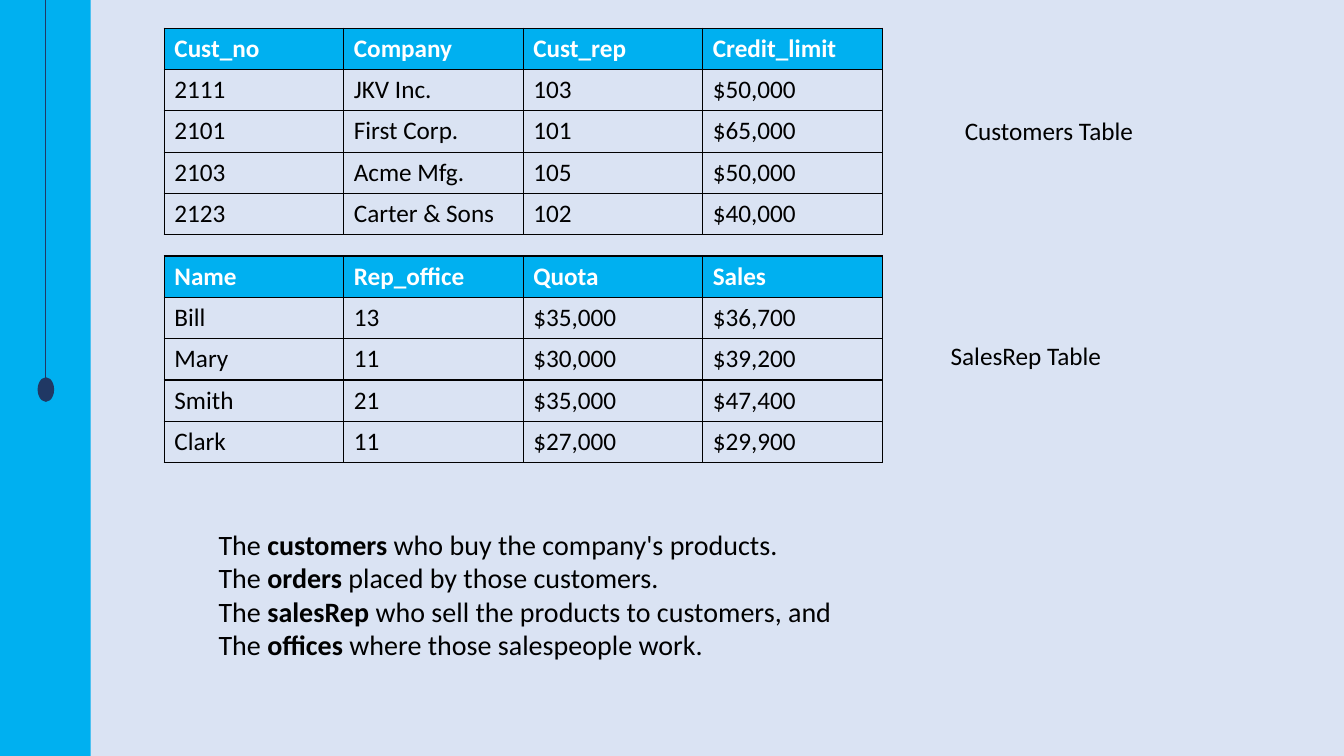
import pptx
import pptx.util
import pptx.dml.color
import pptx.enum.shapes
import pptx.enum.text
import pptx.oxml
import pptx.oxml.ns

PX = 9144
FONT = "Calibri"
COLORS = {
    "background": "DAE3F3",
    "accent": "00B0F0",
    "navy": "203864",
    "text": "000000",
    "header": "FFFFFF",
}


def rgb(name):
    return pptx.dml.color.RGBColor.from_string(COLORS[name])


def style_run(r, size, color="text", bold=False):
    r.font.name = FONT
    r.font.size = pptx.util.Pt(size)
    r.font.bold = bold
    r.font.color.rgb = rgb(color)


prs = pptx.Presentation()
prs.slide_width = 1333 * PX
prs.slide_height = 750 * PX
s = prs.slides.add_slide(prs.slide_layouts[6])
s.background.fill.solid()
s.background.fill.fore_color.rgb = rgb("background")

shape_types = pptx.enum.shapes.MSO_SHAPE
sidebar = s.shapes.add_shape(shape_types.RECTANGLE, 0, 0, 90 * PX, 750 * PX)
sidebar.shadow.inherit = False
sidebar.fill.solid()
sidebar.fill.fore_color.rgb = rgb("accent")
sidebar.line.fill.background()

cord = s.shapes.add_connector(
    pptx.enum.shapes.MSO_CONNECTOR.STRAIGHT, 45 * PX, 0, 45 * PX, 375 * PX
)
cord.line.color.rgb = rgb("navy")
cord.line.width = pptx.util.Pt(0.5)
cord._element.spPr.append(pptx.oxml.parse_xml(
    f"<a:effectLst {pptx.oxml.ns.nsdecls('a')}/>"
))

bob = s.shapes.add_shape(shape_types.OVAL, 38 * PX, 375 * PX, 15 * PX, 23 * PX)
bob.shadow.inherit = False
bob.fill.solid()
bob.fill.fore_color.rgb = rgb("navy")
bob.line.color.rgb = rgb("navy")
bob.line.width = pptx.util.Pt(1)

sales_reps = [
    ["Name", "Rep_office", "Quota", "Sales"],
    ["Bill", "13", "$35,000", "$36,700"],
    ["Mary", "11", "$30,000", "$39,200"],
    ["Smith", "21", "$35,000", "$47,400"],
    ["Clark", "11", "$27,000", "$29,900"],
]
customers = [
    ["Cust_no", "Company", "Cust_rep", "Credit_limit"],
    ["2111", "JKV Inc.", "103", "$50,000"],
    ["2101", "First Corp.", "101", "$65,000"],
    ["2103", "Acme Mfg.", "105", "$50,000"],
    ["2123", "Carter & Sons", "102", "$40,000"],
]

for top, rows in [(254, sales_reps), (28, customers)]:
    frame = s.shapes.add_table(
        len(rows), len(rows[0]), 163 * PX, top * PX, 712 * PX, 205 * PX
    )
    table = frame.table
    table.horz_banding = False
    for column in table.columns:
        column.width = 178 * PX
    for i, row in enumerate(rows):
        table.rows[i].height = 41 * PX
        for j, value in enumerate(row):
            cell = table.cell(i, j)
            cell.text = value
            style_run(
                cell.text_frame.paragraphs[0].runs[0],
                18,
                "text" if i else "header",
                i == 0,
            )
            tcPr = cell._tc.get_or_add_tcPr()
            for side in "LRTB":
                tcPr.append(pptx.oxml.parse_xml(
                    f'<a:ln{side} {pptx.oxml.ns.nsdecls("a")} w="12700">'
                    f'<a:solidFill><a:srgbClr val="{COLORS["text"]}"/>'
                    f"</a:solidFill></a:ln{side}>"
                ))
            if i:
                cell.fill.background()
            else:
                cell.fill.solid()
                cell.fill.fore_color.rgb = rgb("accent")

notes = [
    ["The ", "customers", " who buy the company's products."],
    ["The ", "orders", " placed by those customers."],
    ["The ", "salesRep", " who sell the products to customers, and"],
    ["The ", "offices", " where those salespeople work."],
]
texts = [
    (947, 109, 189, 40, 18, [["Customers Table"]]),
    (933, 333, 189, 40, 18, [["SalesRep Table"]]),
    (207, 518, 667, 145, 20, notes),
]
for left, top, width, height, size, lines in texts:
    box = s.shapes.add_textbox(left * PX, top * PX, width * PX, height * PX)
    tf = box.text_frame
    tf.word_wrap = True
    tf.auto_size = pptx.enum.text.MSO_AUTO_SIZE.SHAPE_TO_FIT_TEXT
    for i, line in enumerate(lines):
        p = tf.add_paragraph() if i else tf.paragraphs[0]
        for j, part in enumerate(line):
            r = p.add_run()
            r.text = part
            style_run(r, size, bold=j == 1)

prs.save("out.pptx")
